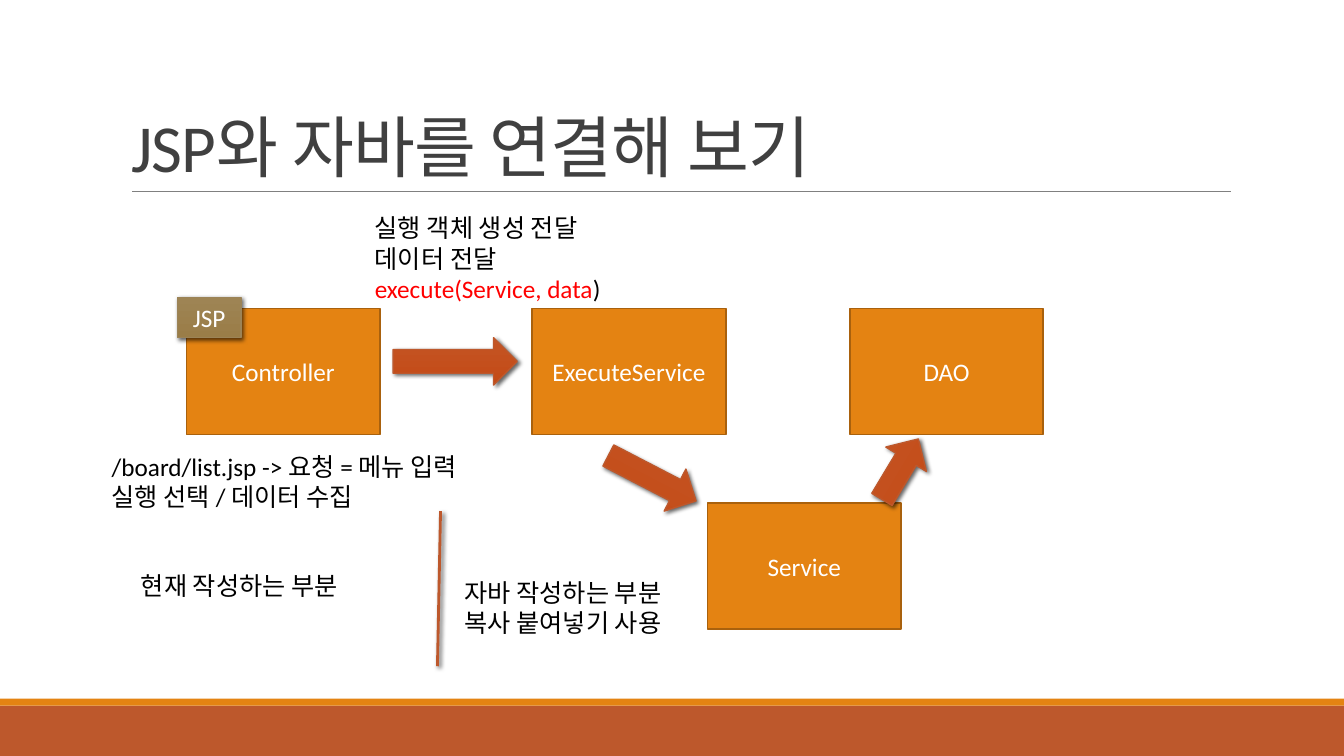
"""Build the slide showing how JSP connects to the Java classes."""
from lxml.etree import SubElement
from pptx import Presentation
from pptx.dml.color import RGBColor
from pptx.enum.shapes import MSO_CONNECTOR as Connector, MSO_SHAPE as Preset
from pptx.enum.text import MSO_ANCHOR as Anchor, PP_ALIGN as Align
from pptx.oxml.ns import qn
from pptx.util import Inches, Pt

hex_color = RGBColor.from_string
ORANGE, RUST, WHITE, BLACK, RED = "E48312", "BD582C", "FFFFFF", "000000", "FF0000"

presentation = Presentation()
presentation.slide_width, presentation.slide_height = Inches(13.33), Inches(7.5)
slide = presentation.slides.add_slide(presentation.slide_layouts[5])
shapes = slide.shapes
COLUMN, ROW = presentation.slide_width / 100, presentation.slide_height / 100


def grid(*lengths):
    """Turn alternating columns and rows into slide lengths."""
    return [round(length * (ROW if index % 2 else COLUMN)) for index, length in enumerate(lengths)]


def write(shape, lines, align=Align.LEFT, size=18):
    """Fill a shape with lines, each a list of (text, color) runs."""
    frame = shape.text_frame
    for index, line in enumerate(lines):
        paragraph = frame.paragraphs[0] if index == 0 else frame.add_paragraph()
        paragraph.alignment = align
        for text, color in line:
            run = paragraph.add_run()
            run.text = text
            for name, value in {"name": "Calibri", "size": Pt(size)}.items():
                setattr(run.font, name, value)
            run.font.color.rgb = hex_color(color)


for top, height, color in [(93.33, 6.67, RUST), (92.4, 0.93, ORANGE)]:
    bar = shapes.add_shape(Preset.RECTANGLE, *grid(0, top, 100, height))
    bar.shadow.inherit = False
    bar.fill.solid()
    bar.fill.fore_color.rgb = hex_color(color)
    bar.line.fill.background()

title = shapes.title
for name, value in zip(("left", "top", "width", "height"), grid(9, 4.13, 82.5, 21.2)):
    setattr(title, name, value)
title.text_frame.vertical_anchor = Anchor.BOTTOM
write(title, [[("JSP와 자바를 연결해 보기", "404040")]], size=48)
title_paragraph = title.text_frame.paragraphs[0]
title_paragraph.line_spacing = 0.85
title_paragraph.runs[0].font._element.set("spc", "-50")

for label, left, top in [
    ("Controller", 13.88, 40.8),
    ("ExecuteService", 39.6, 40.8),
    ("DAO", 63.23, 40.8),
    ("Service", 52.65, 66.53),
]:
    box = shapes.add_shape(Preset.RECTANGLE, *grid(left, top, 14.4, 16.67))
    box.shadow.inherit = False
    box.fill.solid()
    box.fill.fore_color.rgb = hex_color(ORANGE)
    box.line.color.rgb = hex_color("A9610D")
    box.line.width = Pt(1.25)
    write(box, [[(label, WHITE)]], Align.CENTER)

shadowed = []
TAG_COLORS = ("9A7D48", "9E8454", "9B8357")
ARROW_COLORS = ("C44A15", "C45525", RUST)
for preset, area, rotation, (start, end, edge) in [
    (Preset.RECTANGLE, (13.2, 39.33, 4.73, 5.33), 0, TAG_COLORS),
    (Preset.RIGHT_ARROW, (29.25, 44.67, 9.23, 6.27), 0, ARROW_COLORS),
    (Preset.RIGHT_ARROW, (44.85, 60.13, 7.35, 6.27), 27.4, ARROW_COLORS),
    (Preset.RIGHT_ARROW, (64.35, 58.93, 5.25, 6.27), 301, ARROW_COLORS),
]:
    shape = shapes.add_shape(preset, *grid(*area))
    shape.rotation = rotation
    shape.fill.gradient()
    for stop, color in zip(shape.fill.gradient_stops, (start, end)):
        stop.color.rgb = hex_color(color)
    shape.line.color.rgb = hex_color(edge)
    shape.line.width = Pt(1)
    if preset == Preset.RECTANGLE:
        write(shape, [[("JSP", WHITE)]], Align.CENTER)
    shadowed.append(shape)

for ends, color, width, has_shadow in [
    ((9.83, 25.33, 91.58, 25.33), "808080", 0.5, False),
    ((32.78, 67.6, 32.55, 88.13), RUST, 2, True),
]:
    line = shapes.add_connector(Connector.STRAIGHT, *grid(*ends))
    line.line.color.rgb = hex_color(color)
    line.line.width = Pt(width)
    if has_shadow:
        shadowed.append(line)
    else:
        SubElement(line._element.spPr, qn("a:effectLst"))

for shape in shadowed:
    effects = SubElement(shape._element.spPr, qn("a:effectLst"))
    shadow = SubElement(effects, qn("a:outerShdw"), blurRad=str(Pt(3)), dist=str(Pt(2)),
                        dir="2700000", algn="tl", rotWithShape="0")
    shadow_color = SubElement(shadow, qn("a:srgbClr"), val=BLACK)
    SubElement(shadow_color, qn("a:alpha"), val="60000")

for area, wrap, lines in [
    ((7.58, 59.07, 33.83, 9.47), True,
     [[("/board/list.jsp -> 요청 = 메뉴 입력", BLACK)], [("실행 선택 / 데이터 수집", BLACK)]]),
    ((27.15, 27.47, 18.53, 13.47), False,
     [[("실행 객체 생성 전달", BLACK)], [("데이터 전달", BLACK)],
      [("execute(Service, data", RED), (")", BLACK)]]),
    ((9.75, 74.8, 17.55, 5.33), False, [[("현재 작성하는 부분", BLACK)]]),
    ((33.83, 75.73, 17.55, 9.47), False,
     [[("자바 작성하는 부분", BLACK)], [("복사 붙여넣기 사용", BLACK)]]),
]:
    note = shapes.add_textbox(*grid(*area))
    note.text_frame.word_wrap = wrap
    write(note, lines)

presentation.save("out.pptx")
